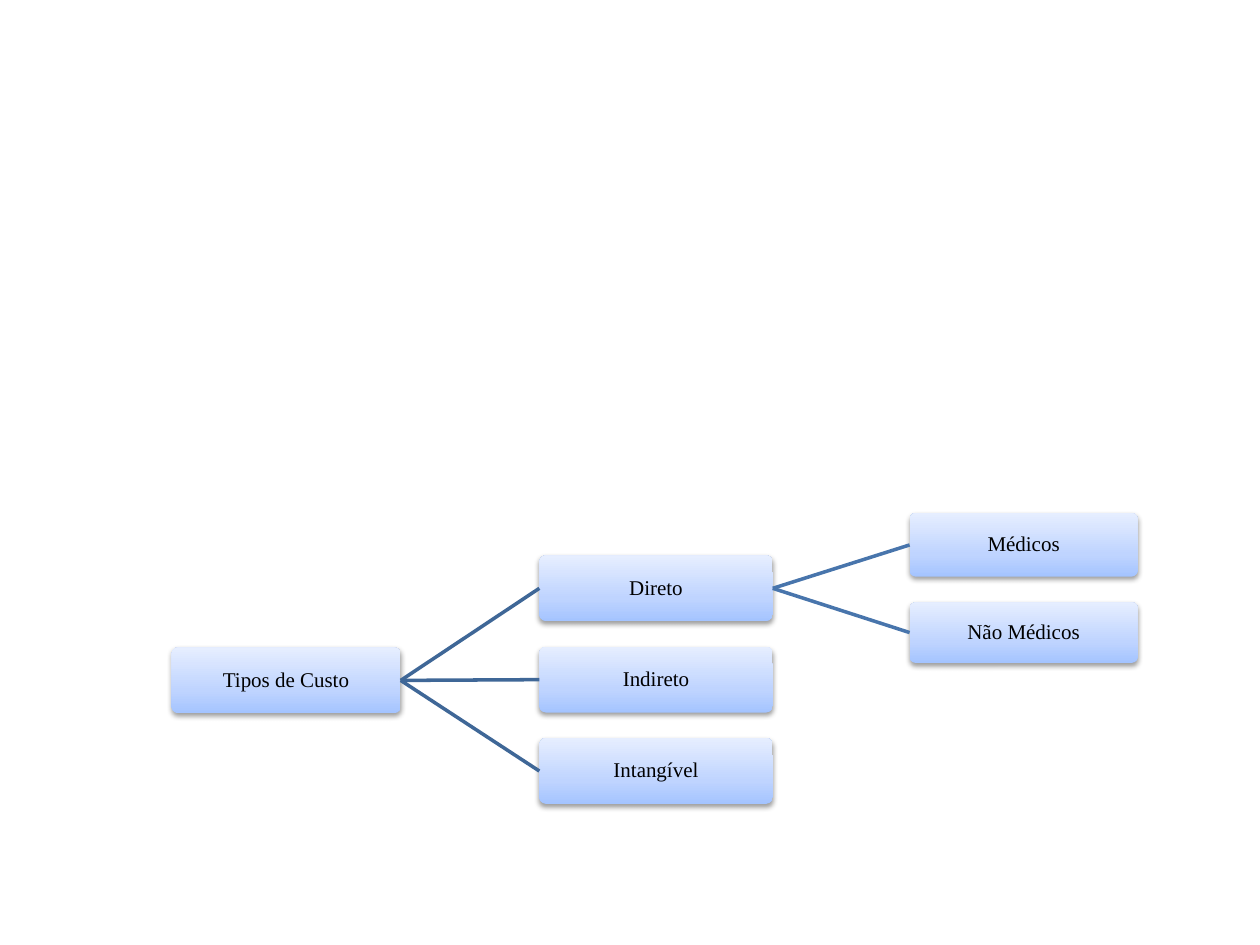
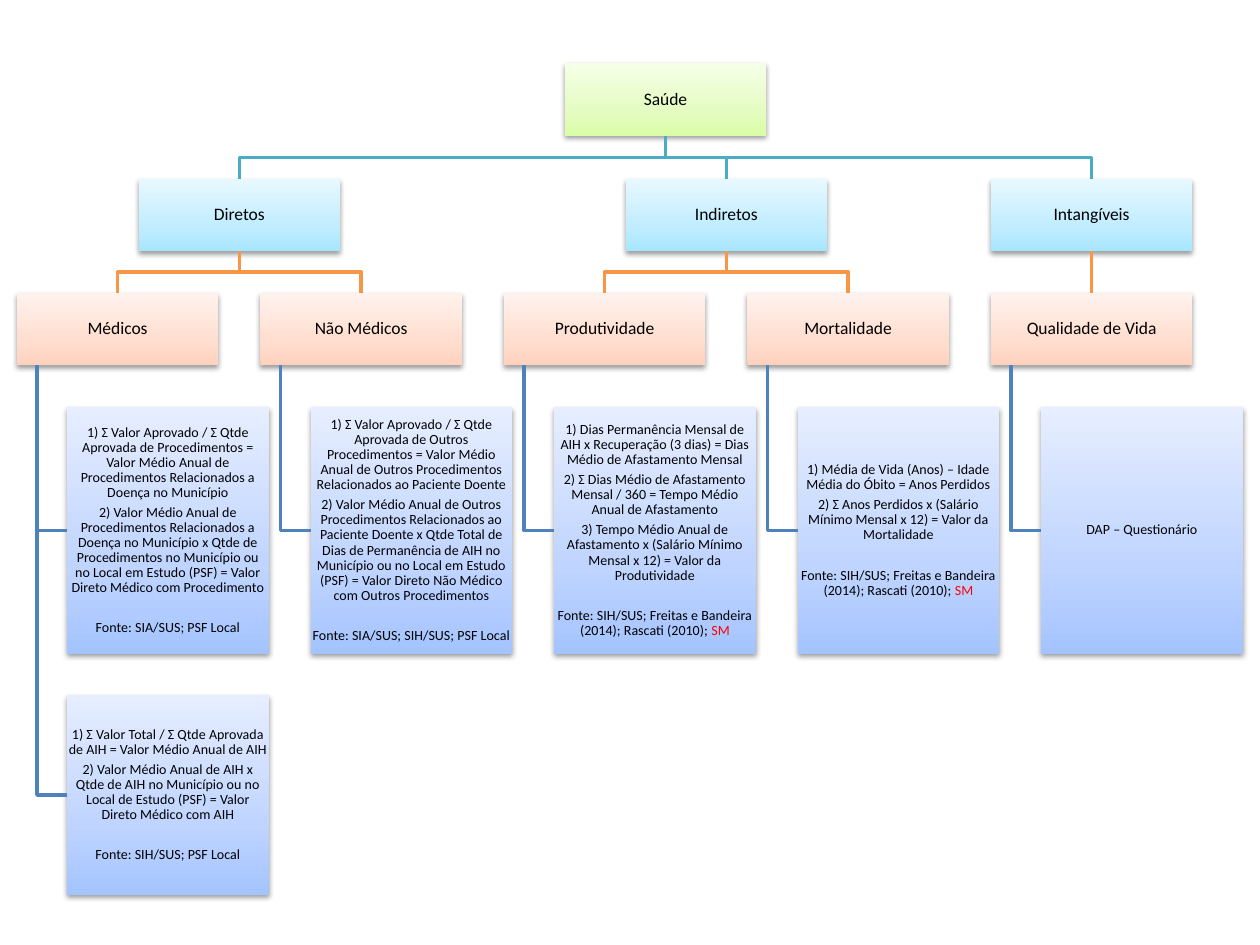
from copy import deepcopy
from dataclasses import dataclass

from lxml import etree
from pptx import Presentation
from pptx.dml.color import RGBColor
from pptx.enum.shapes import MSO_CONNECTOR, MSO_SHAPE
from pptx.enum.text import MSO_ANCHOR, PP_ALIGN
from pptx.oxml.ns import qn
from pptx.util import Pt

ROUNDED = MSO_SHAPE.ROUNDED_RECTANGLE
RECTANGLE = MSO_SHAPE.RECTANGLE
STRAIGHT = MSO_CONNECTOR.STRAIGHT
MIDDLE = MSO_ANCHOR.MIDDLE
CENTER = PP_ALIGN.CENTER
LEFT_SITE, RIGHT_SITE = 1, 3


@dataclass(frozen=True)
class Theme:
    blue: tuple = ("A4C4FF", "BFD4FF", "E6EEFF")
    green: tuple = ("DAFDA7", "E4FCC2", "F5FFE7")
    cyan: tuple = ("A7E6FF", "C1EDFF", "E7F8FF")
    orange: tuple = ("FFD2BD", "FFDED0", "FFF2ED")
    stops: tuple = (0, 0.35, 1)
    text: str = "000000"
    alert: str = "FF0000"
    first_branch: str = "3F6797"
    second_branch: str = "4875AC"
    cyan_line: str = "4BACC6"
    orange_line: str = "F79646"
    blue_line: str = "4F81BD"
    serif: str = "Times New Roman"
    sans: str = "Calibri"
    type_size: float = 12
    heading_size: float = 10
    detail_size: float = 8
    line_width: float = 2
    inset: float = 0.7
    source_gap: float = 11.5


class Diagram:
    def __init__(self, theme):
        self.theme = theme
        self.deck = Presentation()
        self.deck.slide_width, self.deck.slide_height = Pt(720), Pt(540)
        self.slide = None

    def new_slide(self):
        self.slide = self.deck.slides.add_slide(self.deck.slide_layouts[6])

    def box(self, area, tint, paragraphs, font, size, kind=RECTANGLE):
        shape = self.slide.shapes.add_shape(kind, *map(Pt, area))
        if kind == ROUNDED:
            shape.adjustments[0] = 0.1
        shape.line.fill.background()
        self.gradient(shape, tint)
        self.cast_shadow(shape)
        frame = shape.text_frame
        frame.word_wrap = True
        frame.vertical_anchor = MIDDLE
        frame.margin_left = frame.margin_right = Pt(self.theme.inset)
        frame.margin_top = frame.margin_bottom = Pt(self.theme.inset)
        for index, runs in enumerate(paragraphs):
            paragraph = frame.paragraphs[0] if index == 0 else frame.add_paragraph()
            paragraph.alignment = CENTER
            paragraph.line_spacing = 0.9
            paragraph.space_after = Pt(0.35 * size)
            if runs[0][0].startswith("Fonte:"):
                paragraph.space_before = Pt(self.theme.source_gap)
            for words, color in runs:
                run = paragraph.add_run()
                run.text = words
                run.font.name = font
                run.font.size = Pt(size)
                run.font.color.rgb = RGBColor.from_string(color)
        return shape

    def label(self, area, tint, words, font, size, kind=RECTANGLE):
        return self.box(area, tint, [[(words, self.theme.text)]], font, size, kind)

    def gradient(self, shape, tint):
        shape.fill.gradient()
        shape.fill.gradient_angle = 90
        stop_list = next(shape.element.iter(qn("a:gsLst")))
        stop_list.insert(1, deepcopy(stop_list[0]))
        for stop, position, color in zip(
                shape.fill.gradient_stops, self.theme.stops, tint):
            stop.position = position
            stop.color.rgb = RGBColor.from_string(color)

    def cast_shadow(self, shape):
        shape.shadow.inherit = False
        effects = next(shape.element.iter(qn("a:effectLst")))
        outer = etree.SubElement(
            effects, qn("a:outerShdw"), blurRad=str(Pt(3.1)), dist=str(Pt(1.6)),
            dir="5400000", rotWithShape="0")
        black = etree.SubElement(outer, qn("a:srgbClr"), val="000000")
        etree.SubElement(black, qn("a:alpha"), val="38000")

    def stroke(self, line, color):
        line.width = Pt(self.theme.line_width)
        line.color.rgb = RGBColor.from_string(color)

    def straight(self, start, end, color):
        connector = self.slide.shapes.add_connector(STRAIGHT, *start, *end)
        self.stroke(connector.line, color)
        etree.SubElement(connector.element.spPr, qn("a:effectLst"))
        return connector

    def link(self, parent, child, color):
        connector = self.straight((0, 0), (0, 0), color)
        connector.begin_connect(parent, RIGHT_SITE)
        connector.end_connect(child, LEFT_SITE)

    def polyline(self, points, color):
        builder = self.slide.shapes.build_freeform(*points[0], scale=1.0)
        builder.add_line_segments(points[1:], close=False)
        outline = builder.convert_to_shape()
        outline.fill.background()
        outline.shadow.inherit = False
        self.stroke(outline.line, color)

    def branch(self, parent, child, color):
        start_x = parent.left + parent.width // 2
        start_y = parent.top + parent.height
        end_x = child.left + child.width // 2
        if abs(end_x - start_x) < Pt(1):
            self.straight((start_x, start_y), (end_x, child.top), color)
            return
        middle_y = (start_y + child.top) // 2
        self.polyline([(start_x, start_y), (start_x, middle_y),
                       (end_x, middle_y), (end_x, child.top)], color)

    def drop(self, parent, child, color):
        x = parent.left + parent.width // 10
        y = child.top + child.height // 2
        self.polyline([(x, parent.top + parent.height), (x, y),
                       (child.left, y)], color)


def cost_types(diagram):
    theme = diagram.theme
    diagram.new_slide()

    def node(left, top, width, height, words):
        return diagram.label((left, top, width, height), theme.blue, words,
                             theme.serif, theme.type_size, ROUNDED)

    root = node(98, 370, 131, 37.6, "Tipos de Custo")
    direct, indirect, intangible = [
        node(308.2, 317.4 + 52.2 * row, 133.4, 37.6, words)
        for row, words in enumerate(("Direto", "Indireto", "Intangível"))]
    medical = node(519.8, 293.2, 130.4, 36.4, "Médicos")
    non_medical = node(519.8, 344.2, 130.4, 34.6, "Não Médicos")
    for child in (direct, indirect, intangible):
        diagram.link(root, child, theme.first_branch)
    for child in (medical, non_medical):
        diagram.link(direct, child, theme.second_branch)


GROUPS = [("Diretos", 0.5, (0, 1)), ("Indiretos", 2.5, (2, 3)),
          ("Intangíveis", 4, (4,))]
CATEGORIES = ["Médicos", "Não Médicos", "Produtividade", "Mortalidade",
              "Qualidade de Vida"]
STUDY_SOURCE = "Fonte: SIH/SUS; Freitas e Bandeira (2014); Rascati (2010); "
MAIN_ROW = (232.7, 140.8)
LOWER_ROW = (397.4, 113.8)
DETAILS = [
    (0, MAIN_ROW, [
        "1) Σ Valor Aprovado / Σ Qtde Aprovada de Procedimentos = Valor Médio "
        "Anual de Procedimentos Relacionados a Doença no Município",
        "2) Valor Médio Anual de Procedimentos Relacionados a Doença no "
        "Município x Qtde de Procedimentos no Município ou no Local em Estudo "
        "(PSF) = Valor Direto Médico com Procedimento",
        "Fonte: SIA/SUS; PSF Local"]),
    (0, LOWER_ROW, [
        "1) Σ Valor Total / Σ Qtde Aprovada de AIH = Valor Médio Anual de AIH",
        "2) Valor Médio Anual de AIH x Qtde de AIH no Município ou no Local de "
        "Estudo (PSF) = Valor Direto Médico com AIH",
        "Fonte: SIH/SUS; PSF Local"]),
    (1, MAIN_ROW, [
        "1) Σ Valor Aprovado / Σ Qtde Aprovada de Outros Procedimentos = Valor "
        "Médio Anual de Outros Procedimentos Relacionados ao Paciente Doente",
        "2) Valor Médio Anual de Outros Procedimentos Relacionados ao Paciente "
        "Doente x Qtde Total de Dias de Permanência de AIH no Município ou no "
        "Local em Estudo (PSF) = Valor Direto Não Médico com Outros Procedimentos",
        "Fonte: SIA/SUS; SIH/SUS; PSF Local"]),
    (2, MAIN_ROW, [
        "1) Dias Permanência Mensal de AIH x Recuperação (3 dias) = Dias Médio "
        "de Afastamento Mensal",
        "2) Σ Dias Médio de Afastamento Mensal / 360 = Tempo Médio Anual de "
        "Afastamento",
        "3) Tempo Médio Anual de Afastamento x (Salário Mínimo Mensal x 12) = "
        "Valor da Produtividade",
        STUDY_SOURCE]),
    (3, MAIN_ROW, [
        "1) Média de Vida (Anos) – Idade Média do Óbito = Anos Perdidos",
        "2) Σ Anos Perdidos x (Salário Mínimo Mensal x 12) = Valor da Mortalidade",
        STUDY_SOURCE]),
    (4, MAIN_ROW, ["DAP – Questionário"]),
]


def health_costs(diagram):
    theme = diagram.theme
    diagram.new_slide()
    box_width, box_height = 115.2, 41.4

    def column_left(column):
        return 9.6 + 139.15 * column

    def heading(column, top, tint, words):
        return diagram.label((column_left(column), top, box_width, box_height),
                             tint, words, theme.sans, theme.heading_size)

    health = heading(2.25, 36.2, theme.green, "Saúde")
    categories = [heading(column, 167.4, theme.orange, words)
                  for column, words in enumerate(CATEGORIES)]
    for words, column, members in GROUPS:
        group = heading(column, 102.2, theme.cyan, words)
        diagram.branch(health, group, theme.cyan_line)
        for member in members:
            diagram.branch(group, categories[member], theme.orange_line)
    for column, (top, height), lines in DETAILS:
        paragraphs = [[(line, theme.text)] for line in lines]
        if lines[-1] == STUDY_SOURCE:
            paragraphs[-1].append(("SM", theme.alert))
        detail = diagram.box((column_left(column) + 28.8, top, box_width, height),
                             theme.blue, paragraphs, theme.sans, theme.detail_size)
        diagram.drop(categories[column], detail, theme.blue_line)


diagram = Diagram(Theme())
cost_types(diagram)
health_costs(diagram)
diagram.deck.save("out.pptx")
